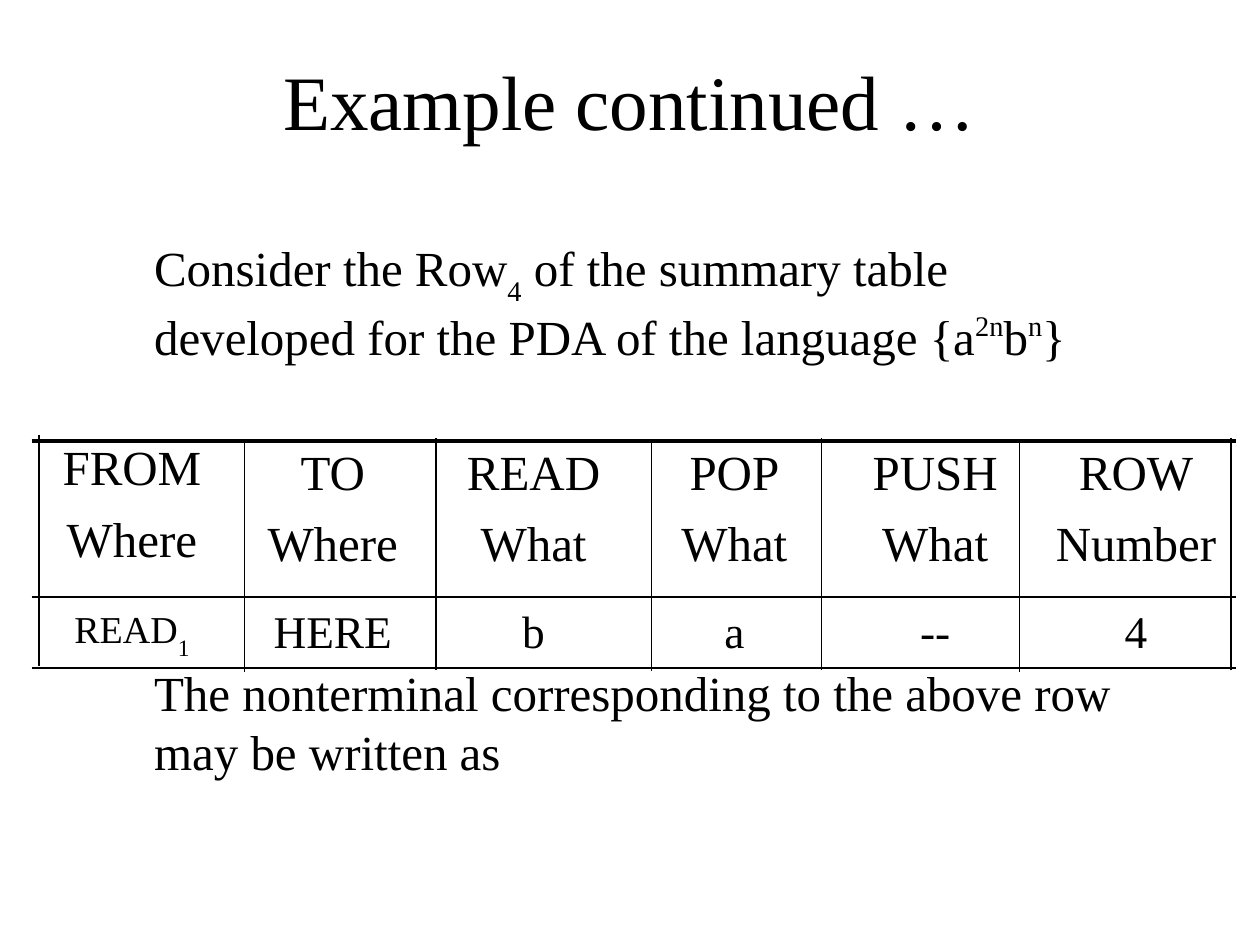
from dataclasses import dataclass

from lxml.etree import SubElement
from pptx import Presentation
from pptx.dml.color import RGBColor
from pptx.enum.shapes import MSO_CONNECTOR
from pptx.enum.text import MSO_ANCHOR, PP_ALIGN
from pptx.oxml.ns import qn
from pptx.util import Inches, Pt

COLS, ROWS = 100, 75  # slide grid, each square a tenth of an inch
FONT, INK = "Times New Roman", "000000"


@dataclass
class Run:
    text: str
    base: int = 0  # baseline shift in percent
    size: float | None = None


@dataclass
class Block:
    left: float
    top: float
    width: float
    height: float
    runs: list[Run]
    size: float
    align: PP_ALIGN = PP_ALIGN.LEFT
    anchor: MSO_ANCHOR = MSO_ANCHOR.TOP


@dataclass
class Column:
    head: tuple[str, str]
    value: list[Run]
    right: float  # grid column of the right rule
    start: float  # grid row where that rule starts
    inset: float = 0.45  # space above the header


def grid(n: float) -> int:
    return Inches(n / 10)


def tint(code: str) -> RGBColor:
    return RGBColor.from_string(code)


def write(para, runs: list[Run], size: float, align: PP_ALIGN) -> None:
    para.alignment = align
    para.font.name = FONT
    para.font.size = Pt(size)
    para.font.color.rgb = tint(INK)
    for item in runs:
        run = para.add_run()
        run.text = item.text
        run.font.name = FONT
        run.font.size = Pt(item.size or size)
        run.font.color.rgb = tint(INK)
        if item.base:
            run.font._element.set("baseline", str(item.base * 1000))


def draw_block(slide, block: Block) -> None:
    box = slide.shapes.add_textbox(
        grid(block.left), grid(block.top), grid(block.width), grid(block.height))
    frame = box.text_frame
    frame.word_wrap = True
    frame.vertical_anchor = block.anchor
    write(frame.paragraphs[0], block.runs, block.size, block.align)


def draw_rule(slide, x1: float, y1: float, x2: float, y2: float, width: float) -> None:
    line = slide.shapes.add_connector(
        MSO_CONNECTOR.STRAIGHT, grid(x1), grid(y1), grid(x2), grid(y2))
    line.line.color.rgb = tint(INK)
    line.line.width = Pt(width)
    SubElement(line._element.spPr, qn("a:effectLst"))


def draw_table(slide, cols: list[Column]) -> None:
    left, top, heights = EDGE, 35, (12.4, 5.6)
    start, pitch = 2.5, 15.94  # text is centred on an even pitch
    frame = slide.shapes.add_table(
        len(heights), len(cols), grid(left), grid(top),
        grid(cols[-1].right - left), grid(sum(heights)))
    table = frame.table
    table.first_row = table.horz_banding = False
    for row, height in zip(table.rows, heights):
        row.height = grid(height)

    for i, col in enumerate(cols):
        table.columns[i].width = grid(col.right - left)
        shift = 2 * (start + pitch * (i + 0.5)) - left - col.right
        for r, inset in enumerate((col.inset, 0.85)):
            cell = table.cell(r, i)
            cell.margin_left = grid(max(shift, 0))
            cell.margin_right = grid(max(-shift, 0))
            cell.margin_top = grid(inset)
            cell.margin_bottom = 0
            # The rules run past the cells, so the cells have no borders
            for side in "LRTB":
                edge = SubElement(cell._tc.get_or_add_tcPr(), qn(f"a:ln{side}"))
                SubElement(edge, qn("a:noFill"))
            cell.fill.background()

        # Header words on two lines, then the value
        words = table.cell(0, i).text_frame
        write(words.paragraphs[0], [Run(col.head[0])], 28, PP_ALIGN.CENTER)
        below = words.add_paragraph()
        below.space_before = Pt(9.8)
        write(below, [Run(col.head[1])], 28, PP_ALIGN.CENTER)
        write(table.cell(1, i).text_frame.paragraphs[0], col.value, 25.9, PP_ALIGN.CENTER)
        left = col.right


def draw_rules(slide, cols: list[Column]) -> None:
    for y, width in ((35, 2.25), (47.4, 1), (53, 1)):
        draw_rule(slide, 2.5, y, 98.1, y, width)
    for x, y in [(EDGE, 34.5)] + [(col.right, col.start) for col in cols]:
        draw_rule(slide, x, y, x, y + 18.35, 0.75)


BLOCKS = [
    Block(7.5, 1.65, 85, 12.5, [Run("Example continued …")], 44,
          PP_ALIGN.CENTER, MSO_ANCHOR.MIDDLE),
    Block(11.25, 18.35, 81.25, 12, [
        Run("Consider the Row"), Run("4", -30),
        Run(" of the summary table developed for the PDA of the language {a"),
        Run("2n", 40), Run("b"), Run("n", 40), Run("}")], 28),
    Block(11.25, 52.1, 81.25, 11.2,
          [Run("The nonterminal corresponding to the above row may be written as")], 28),
]

EDGE = 3.1  # grid column of the table's left rule
COLUMNS = [
    Column(("FROM", "Where"), [Run("READ", size=21.7), Run("1", -30, 23.2)], 19.4, 35, 0.1),
    Column(("TO", "Where"), [Run("HERE")], 34.6, 34.8),
    Column(("READ", "What"), [Run("b")], 51.7, 34.9),
    Column(("POP", "What"), [Run("a")], 65.2, 34.8),
    Column(("PUSH", "What"), [Run("--")], 80.9, 35),
    Column(("ROW", "Number"), [Run("4")], 97.7, 34.8),
]


def main() -> None:
    deck = Presentation()
    deck.slide_width, deck.slide_height = grid(COLS), grid(ROWS)
    slide = deck.slides.add_slide(deck.slide_layouts[6])
    for block in BLOCKS:
        draw_block(slide, block)
    draw_table(slide, COLUMNS)
    draw_rules(slide, COLUMNS)
    deck.save("out.pptx")


if __name__ == "__main__":
    main()
